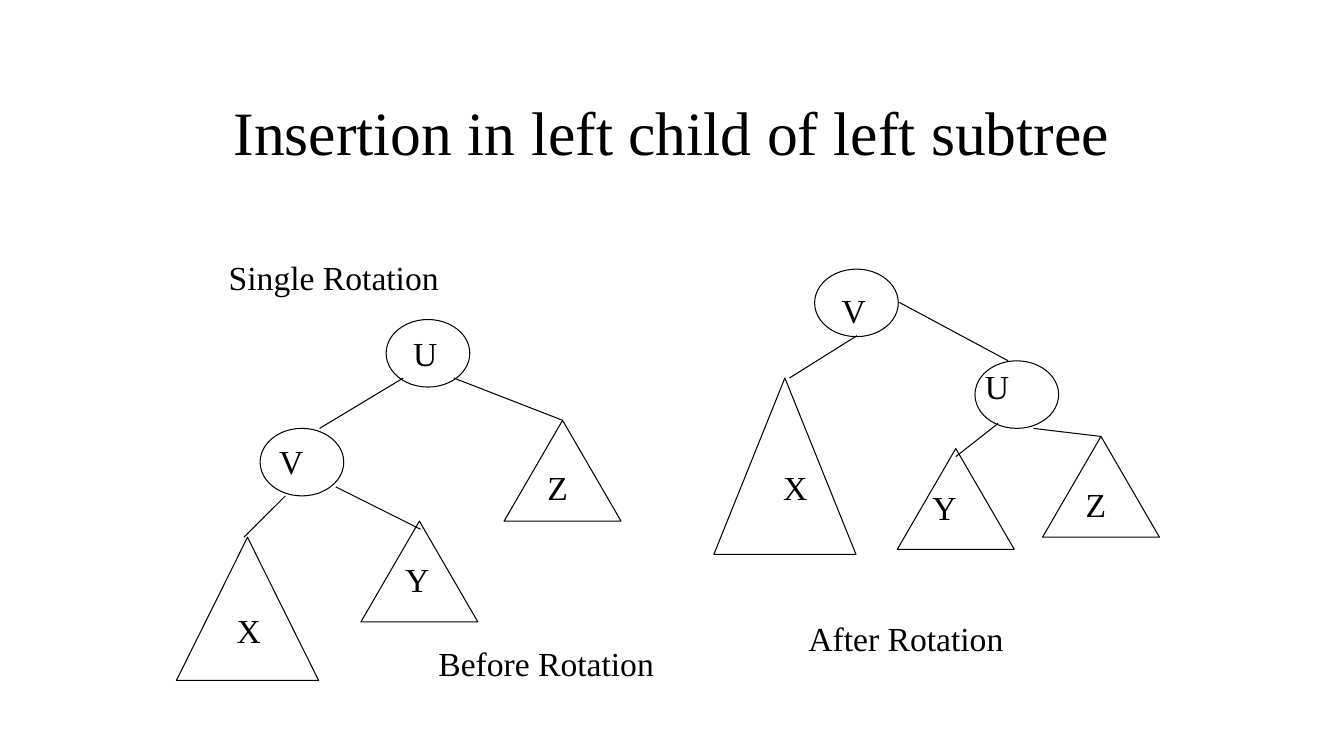
from pptx import Presentation
from pptx.dml.color import RGBColor
from pptx.enum.shapes import MSO_CONNECTOR, MSO_SHAPE
from pptx.enum.text import MSO_ANCHOR, PP_ALIGN
from pptx.oxml.ns import qn
from pptx.util import Inches, Pt
from lxml import etree

BLACK = RGBColor(0, 0, 0)
FONT = "Times New Roman"

deck = Presentation()
deck.slide_width, deck.slide_height = Inches(13.33), Inches(7.5)
page = deck.slides.add_slide(deck.slide_layouts[6])


def add_text(text, left, top, width, height=0.5, size=24):
    box = page.shapes.add_textbox(Inches(left), Inches(top), Inches(width), Inches(height))
    box.text_frame.word_wrap = True
    box.text_frame.text = text
    font = box.text_frame.paragraphs[0].runs[0].font
    font.name, font.size, font.color.rgb = FONT, Pt(size), BLACK
    return box


def add_outline(kind, left, top, width, height):
    shape = page.shapes.add_shape(kind, Inches(left), Inches(top), Inches(width), Inches(height))
    shape.shadow.inherit = False
    shape.fill.background()
    shape.line.color.rgb = BLACK
    shape.line.width = Pt(0.75)


# Title
title = add_text("Insertion in left child of left subtree", 1, 0.67, 11.33, 1.25, 44)
title.text_frame.vertical_anchor = MSO_ANCHOR.MIDDLE
title.text_frame.paragraphs[0].alignment = PP_ALIGN.CENTER

# Captions: text, left, top, width
captions = [
    ("Single Rotation", 2.17, 2.5, 7.75),
    ("Before Rotation", 4.25, 6.33, 2.5),
    ("After Rotation", 7.92, 6.08, 2.5),
]
for caption in captions:
    add_text(*caption)

# Tree nodes: label, node left and top, label left and top
nodes = [
    ("U", 3.83, 3.17, 4, 3.25),
    ("V", 2.58, 4.25, 2.67, 4.33),
    ("V", 8.08, 2.67, 8.25, 2.83),
    ("U", 9.67, 3.58, 9.67, 3.58),
]
for label, left, top, label_left, label_top in nodes:
    add_outline(MSO_SHAPE.OVAL, left, top, 0.83, 0.67)
    add_text(label, label_left, label_top, 0.83)

# Subtrees: label, triangle left, top, width and height, label left and top
subtrees = [
    ("X", 1.75, 5.33, 1.41, 1.42, 2.25, 6),
    ("Y", 3.58, 5.17, 1.16, 1, 3.92, 5.5),
    ("Z", 5, 4.17, 1.16, 1, 5.33, 4.58),
    ("X", 7.08, 3.75, 1.41, 1.75, 7.67, 4.58),
    ("Y", 8.9, 4.45, 1.16, 1, 9.15, 4.78),
    ("Z", 10.34, 4.33, 1.16, 1, 10.67, 4.75),
]
for label, left, top, width, height, label_left, label_top in subtrees:
    add_outline(MSO_SHAPE.ISOSCELES_TRIANGLE, left, top, width, height)
    add_text(label, label_left, label_top, 0.83)

# Branches: start x and y, end x and y
branches = [
    (3.17, 4.25, 4, 3.75),
    (4.5, 3.75, 5.58, 4.17),
    (2.42, 5.33, 2.83, 4.92),
    (3.33, 4.83, 4.17, 5.25),
    (8.92, 3, 10, 3.58),
    (7.83, 3.75, 8.5, 3.33),
    (9.48, 4.53, 9.9, 4.2),
    (10.25, 4.25, 10.92, 4.33),
]
for branch in branches:
    line = page.shapes.add_connector(MSO_CONNECTOR.STRAIGHT, *map(Inches, branch))
    line.line.color.rgb = BLACK
    line.line.width = Pt(0.75)
    etree.SubElement(line.element.spPr, qn("a:effectLst"))

deck.save("out.pptx")
